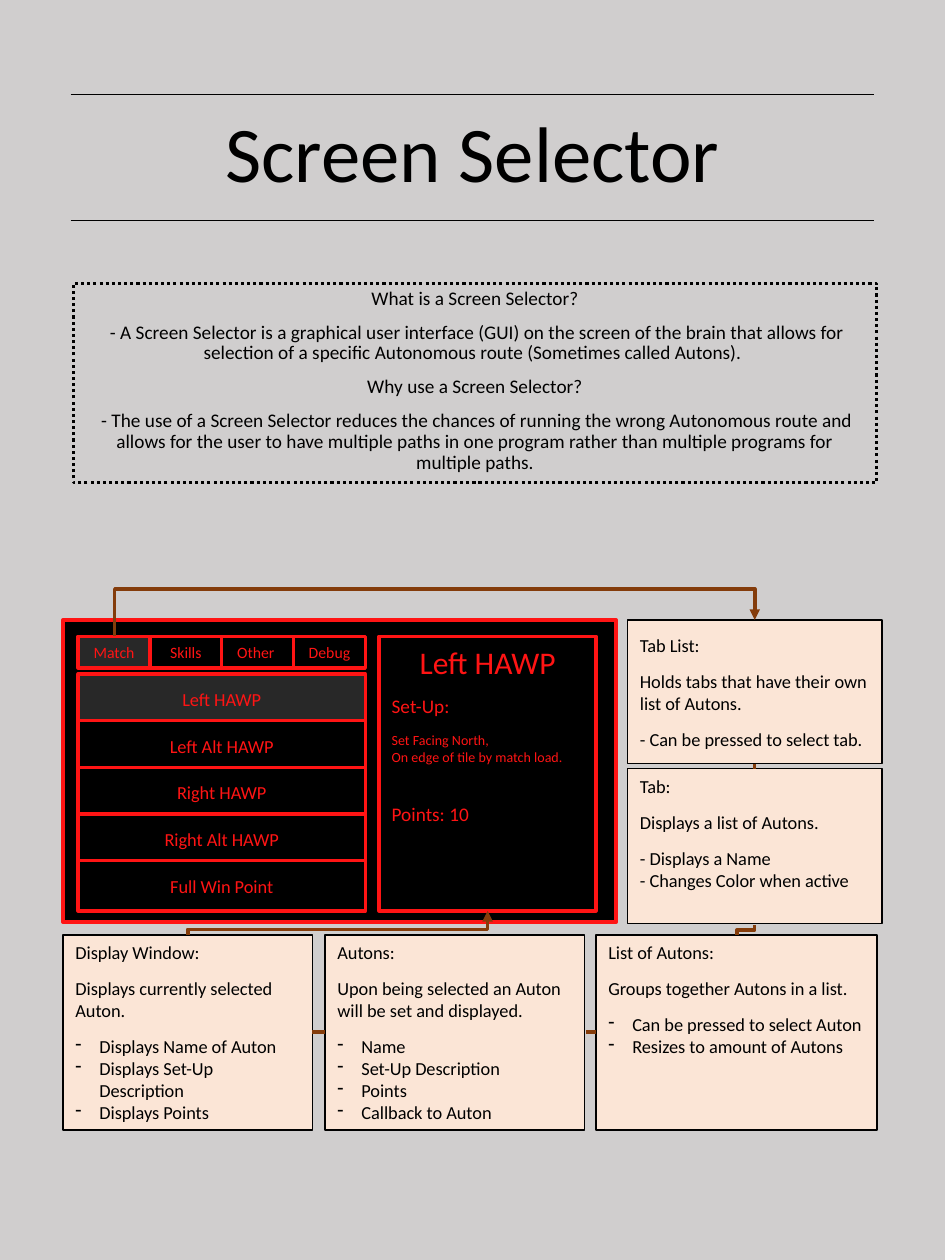
from pptx import Presentation
from pptx.dml.color import RGBColor
from pptx.enum.dml import MSO_LINE
from pptx.enum.shapes import MSO_CONNECTOR, MSO_SHAPE
from pptx.enum.text import MSO_ANCHOR, PP_ALIGN
from pptx.oxml.ns import qn
from pptx.util import Inches, Pt
from lxml.etree import SubElement

COLORS = {"page": "D0CECE", "ink": "000000", "note": "FBE5D6", "screen": "000000",
          "glow": "FF1414", "active": "282828", "link": "843C0B"}
FONT = "Calibri"
PAGE_W, PAGE_H = 7.5, 10
MARGIN, RULE_W = 0.56, 6.38
RULES = (0.75, 1.75)

INTRO = [
    "What is a Screen Selector?",
    " - A Screen Selector is a graphical user interface (GUI) on the screen of the brain that allows "
    "for selection of a specific Autonomous route (Sometimes called Autons). ",
    "Why use a Screen Selector?",
    " - The use of a Screen Selector reduces the chances of running the wrong Autonomous route and "
    "allows for the user to have multiple paths in one program rather than multiple programs for "
    "multiple paths.",
]
TABS = ["Match", "Skills", "Other ", "Debug"]
AUTONS = ["Left HAWP", "Left Alt HAWP", "Right HAWP", "Right Alt HAWP", "Full Win Point"]
DISPLAY = [("Left HAWP", 18, 8), ("Set-Up: ", 11, 8), ("Set Facing North, ", 8, 0),
           ("On edge of tile by match load. ", 8, 21.5), ("Points: 10 ", 11, 8)]

PROCESS, RECT = MSO_SHAPE.FLOWCHART_PROCESS, MSO_SHAPE.RECTANGLE
TOP, MIDDLE = MSO_ANCHOR.TOP, MSO_ANCHOR.MIDDLE
NOTES = [
    (PROCESS, (4.98, 4.92, 2.02, 1.14), MIDDLE,
     ["Tab List:", "Holds tabs that have their own list of Autons. ",
      "- Can be pressed to select tab."], []),
    (RECT, (4.98, 6.1, 2.02, 1.23), TOP,
     ["Tab:", "Displays a list of Autons.", "- Displays a Name", "- Changes Color when active"], []),
    (PROCESS, (4.73, 7.42, 2.23, 1.55), TOP,
     ["List of Autons:", "Groups together Autons in a list."],
     ["Can be pressed to select Auton", "Resizes to amount of Autons"]),
    (PROCESS, (2.58, 7.42, 2.06, 1.55), TOP,
     ["Autons:", "Upon being selected an Auton will be set and displayed."],
     ["Name ", "Set-Up Description ", "Points", "Callback to Auton"]),
    (PROCESS, (0.5, 7.42, 1.98, 1.55), TOP,
     ["Display Window:", "Displays currently selected Auton."],
     ["Displays Name of Auton", "Displays Set-Up Description", "Displays Points"]),
]
LINKS = [((2.48, 8.19), (2.58, 8.19)), ((4.65, 8.19), (4.73, 8.19)), ((5.99, 6.06), (5.99, 6.1))]
ELBOWS = [((5.85, 7.42), (5.99, 7.34), 0.5, False),
          ((3.87, 7.23), (1.49, 7.42), 0.77, True),
          ((5.99, 4.92), (0.91, 5.05), -1.89, True)]


def rgb(name):
    """Return the named colour."""
    return RGBColor.from_string(COLORS[name])


def write(shape, lines, size, color, align=PP_ALIGN.LEFT, anchor=MIDDLE, after=8):
    """Fill a shape with one paragraph per line and return the paragraphs."""
    frame = shape.text_frame
    frame.word_wrap, frame.vertical_anchor = True, anchor
    frame.text = "\n".join(lines)
    for paragraph in frame.paragraphs:
        paragraph.alignment, paragraph.space_after = align, Pt(after)
        font = paragraph.runs[0].font
        font.name, font.size, font.color.rgb = FONT, Pt(size), rgb(color)
    return frame.paragraphs


def add_box(box, fill, line, width, kind=RECT):
    """Add a filled and outlined shape."""
    shape = slide.shapes.add_shape(kind, *map(Inches, box))
    shape.shadow.inherit = False
    if fill:
        shape.fill.solid()
        shape.fill.fore_color.rgb = rgb(fill)
    else:
        shape.fill.background()
    shape.line.color.rgb, shape.line.width = rgb(line), Pt(width)
    return shape


def add_line(start, end, color, width, kind=MSO_CONNECTOR.STRAIGHT):
    """Add a connector without shadow."""
    line = slide.shapes.add_connector(kind, *map(Inches, (*start, *end)))
    line.line.color.rgb, line.line.width = rgb(color), Pt(width)
    SubElement(line._element.spPr, qn("a:effectLst"))
    return line


def add_elbow(start, end, bend, arrow):
    """Add an elbow that leaves and arrives vertically, bending at a share of its height."""
    (x1, y1), (x2, y2) = start, end
    cx, cy, dx, dy = (x1 + x2) / 2, (y1 + y2) / 2, x2 - x1, y2 - y1
    elbow = add_line((cx - dy / 2, cy + dx / 2), (cx + dy / 2, cy - dx / 2),
                     "link", 2, MSO_CONNECTOR.ELBOW)
    properties = elbow._element.spPr
    properties.find(qn("a:xfrm")).set("rot", str(90 * 60000))
    guides = properties.find(qn("a:prstGeom")).get_or_add_avLst()
    SubElement(guides, qn("a:gd"), name="adj1", fmla=f"val {round(bend * 100000)}")
    if arrow:
        SubElement(properties.find(qn("a:ln")), qn("a:headEnd"), type="triangle")


deck = Presentation()
deck.slide_width, deck.slide_height = Inches(PAGE_W), Inches(PAGE_H)
slide = deck.slides.add_slide(deck.slide_layouts[5])
slide.background.fill.solid()
slide.background.fill.fore_color.rgb = rgb("page")

title = slide.shapes.title
title.left, title.top, title.width, title.height = map(Inches, (MARGIN, RULES[0], RULE_W, 1))
write(title, ["Screen Selector"], 45, "ink", PP_ALIGN.CENTER, after=0)[0].line_spacing = 0.9

intro = add_box((0.58, 2.25, RULE_W, 1.58), None, "ink", 1.75)
intro.line.dash_style = MSO_LINE.ROUND_DOT
for position, paragraph in enumerate(write(intro, INTRO, 11, "ink", PP_ALIGN.CENTER, TOP, 0)):
    paragraph.line_spacing = 0.9
    paragraph.space_before = Pt(7.5 if position else 0)
intro.text_frame.margin_top = Inches(0.04)
for y in RULES:
    add_line((MARGIN, y), (MARGIN + RULE_W, y), "ink", 1)

add_box((0.5, 4.92, 4.39, 2.4), "screen", "glow", 2)
window = add_box((3.01, 5.05, 1.72, 2.18), "screen", "glow", 2)
rows = write(window, [text for text, *_ in DISPLAY], 11, "glow", anchor=TOP)
for paragraph, (_, size, after) in zip(rows, DISPLAY):
    paragraph.runs[0].font.size, paragraph.space_after = Pt(size), Pt(after)
rows[0].alignment = PP_ALIGN.CENTER

TAB_STEP, AUTON_STEP = 0.57, 0.37
buttons = [(name, (0.62 + i * TAB_STEP, 5.05, TAB_STEP, 0.25), 9, i) for i, name in enumerate(TABS)]
buttons += [(name, (0.62, 5.35 + i * AUTON_STEP, 2.28, 0.4), 10.5, i) for i, name in enumerate(AUTONS)]
for name, box, size, order in buttons:
    button = add_box(box, "screen" if order else "active", "glow", 2)
    write(button, [name], size, "glow", PP_ALIGN.CENTER)

for kind, box, anchor, texts, bullets in NOTES:
    note = add_box(box, "note", "ink", 1, kind)
    paragraphs = write(note, texts + bullets, 10.5, "ink", anchor=anchor)
    for paragraph, following in zip(paragraphs, paragraphs[1:]):
        if paragraph.text in bullets or paragraph.text.startswith("-"):
            paragraph.space_after = Pt(0)
    for paragraph in paragraphs[len(texts):]:
        properties = paragraph._p.get_or_add_pPr()
        properties.set("marL", str(Inches(0.19)))
        properties.set("indent", str(-Inches(0.19)))
        SubElement(properties, qn("a:buChar"), char="-")

for start, end in LINKS:
    add_line(start, end, "link", 2)
for elbow in ELBOWS:
    add_elbow(*elbow)

deck.save("out.pptx")
